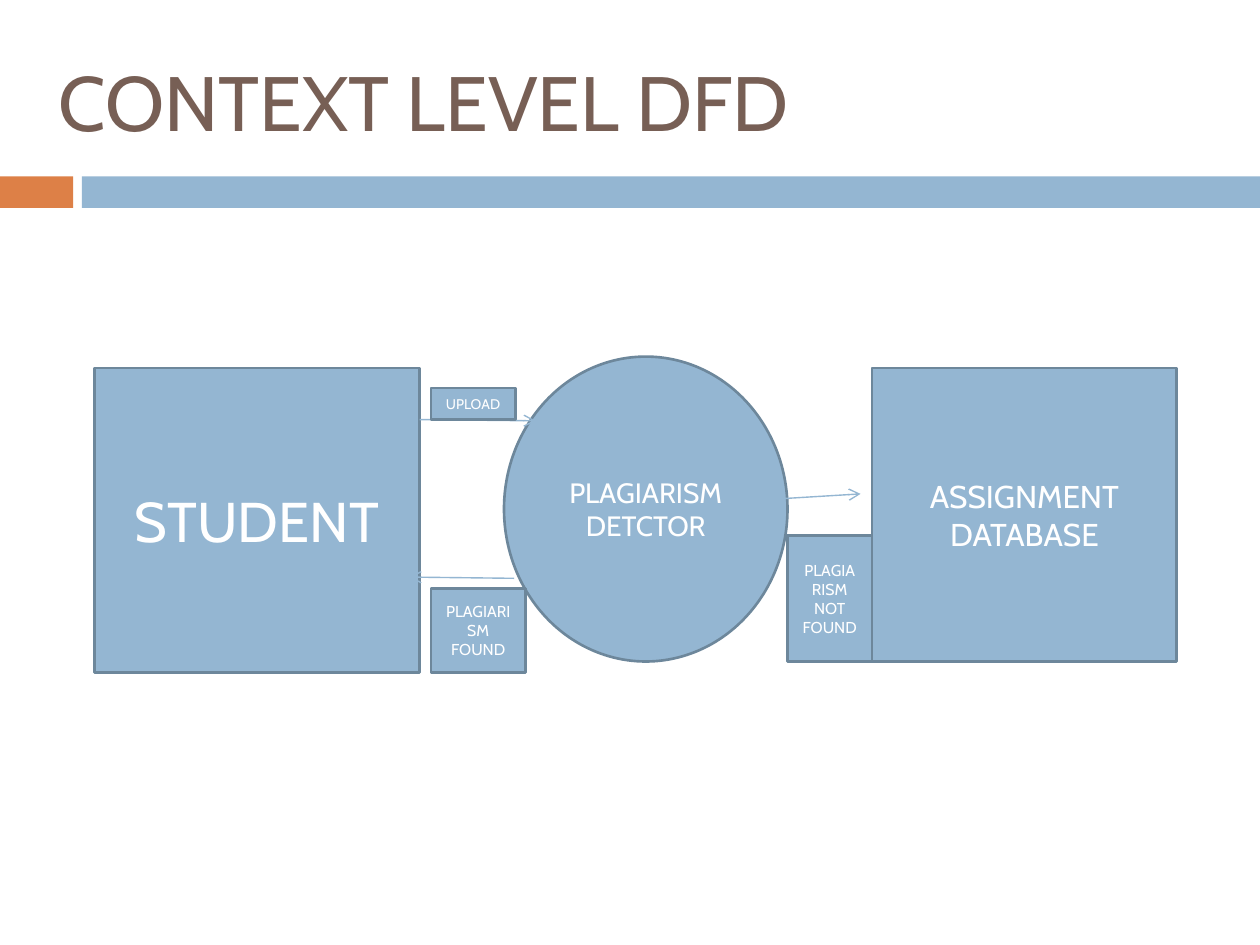
from typing import NamedTuple

from lxml import etree
from pptx import Presentation
from pptx.dml.color import RGBColor
from pptx.enum.shapes import MSO_CONNECTOR, MSO_SHAPE
from pptx.enum.text import MSO_ANCHOR, PP_ALIGN
from pptx.oxml.ns import qn
from pptx.slide import Slide
from pptx.text.text import TextFrame
from pptx.util import Inches, Pt

RECT = MSO_SHAPE.RECTANGLE
OVAL = MSO_SHAPE.OVAL
STRAIGHT = MSO_CONNECTOR.STRAIGHT
MIDDLE = MSO_ANCHOR.MIDDLE
CENTER = PP_ALIGN.CENTER
LEFT = PP_ALIGN.LEFT

FONT = "Cabin"
COLORS = {
    "title": "775F55",
    "accent": "DD8047",
    "blue": "94B6D2",
    "outline": "6D879B",
    "white": "FFFFFF",
}


class Box(NamedTuple):
    left: float
    top: float
    width: float
    height: float
    text: str = ""
    size: float = 9
    shape: MSO_SHAPE = RECT
    fill: str = "blue"


class Flow(NamedTuple):
    x1: float
    y1: float
    x2: float
    y2: float


BANDS = [
    Box(0, 1.4, 0.58, 0.25, fill="accent"),
    Box(0.65, 1.4, 9.35, 0.25),
]
ENTITIES = [
    Box(0.75, 2.92, 2.58, 2.42, "STUDENT", 32),
    Box(4, 2.83, 2.25, 2.42, "PLAGIARISM DETCTOR", 16, OVAL),
    Box(6.92, 2.92, 2.42, 2.33, "ASSIGNMENT DATABASE", 18),
]
FLOWS = [
    Flow(3.33, 3.33, 4.25, 3.34),
    Flow(4.08, 4.59, 3.25, 4.58),
    Flow(6.17, 3.96, 6.83, 3.92),
]
LABELS = [
    Box(3.42, 3.08, 0.67, 0.25, "UPLOAD", 8),
    Box(3.42, 4.67, 0.75, 0.67, "PLAGIARISM\nFOUND"),
    Box(6.25, 4.25, 0.67, 1, "PLAGIARISM NOT\nFOUND"),
]


def rgb(name: str) -> RGBColor:
    return RGBColor.from_string(COLORS[name])


def set_text(tf: TextFrame, text: str, size: float, color: str, align: PP_ALIGN) -> None:
    tf.word_wrap = True
    tf.vertical_anchor = MIDDLE
    tf.text = text
    for p in tf.paragraphs:
        p.alignment = align
        p.font.name = FONT
        p.font.size = Pt(size)
        p.font.color.rgb = rgb(color)


def add_box(s: Slide, box: Box) -> None:
    sp = s.shapes.add_shape(
        box.shape, Inches(box.left), Inches(box.top), Inches(box.width), Inches(box.height)
    )
    sp.shadow.inherit = False
    sp.fill.solid()
    sp.fill.fore_color.rgb = rgb(box.fill)
    if box.text:
        sp.line.color.rgb = rgb("outline")
        sp.line.width = Pt(1.5)
        set_text(sp.text_frame, box.text, box.size, "white", CENTER)
    else:
        sp.line.fill.background()


def add_flow(s: Slide, flow: Flow) -> None:
    cx = s.shapes.add_connector(
        STRAIGHT, Inches(flow.x1), Inches(flow.y1), Inches(flow.x2), Inches(flow.y2)
    )
    cx.line.color.rgb = rgb("blue")
    cx.line.width = Pt(0.79)
    etree.SubElement(cx.line._get_or_add_ln(), qn("a:tailEnd"), type="arrow")
    etree.SubElement(cx._element.spPr, qn("a:effectLst"))


def main() -> None:
    prs = Presentation()
    prs.slide_width = Inches(10)
    prs.slide_height = Inches(7.5)
    s = prs.slides.add_slide(prs.slide_layouts[6])

    for band in BANDS:
        add_box(s, band)
    title = s.shapes.add_textbox(Inches(0.37), Inches(0.17), Inches(8.2), Inches(1.25))
    set_text(title.text_frame, "CONTEXT LEVEL DFD", 44, "title", LEFT)

    for entity in ENTITIES:
        add_box(s, entity)
    for flow in FLOWS:
        add_flow(s, flow)
    for label in LABELS:
        add_box(s, label)

    prs.save("out.pptx")


main()
